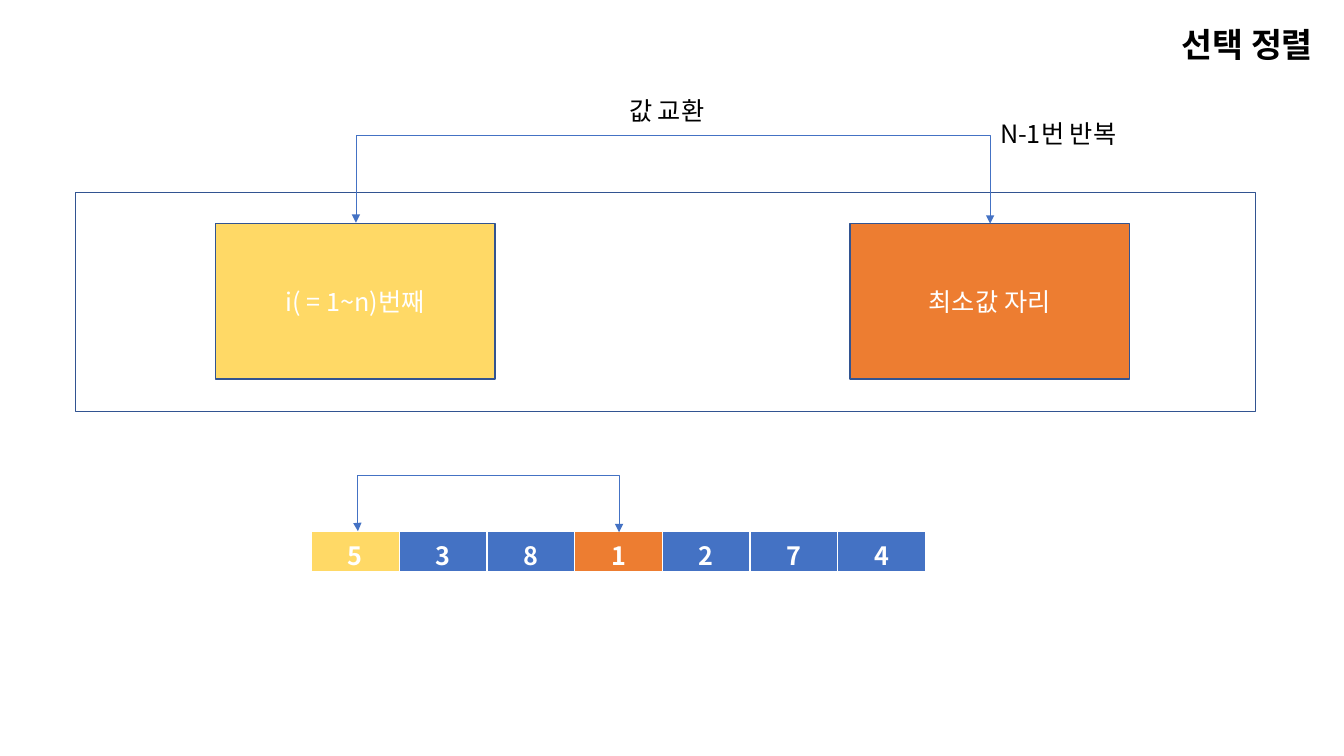
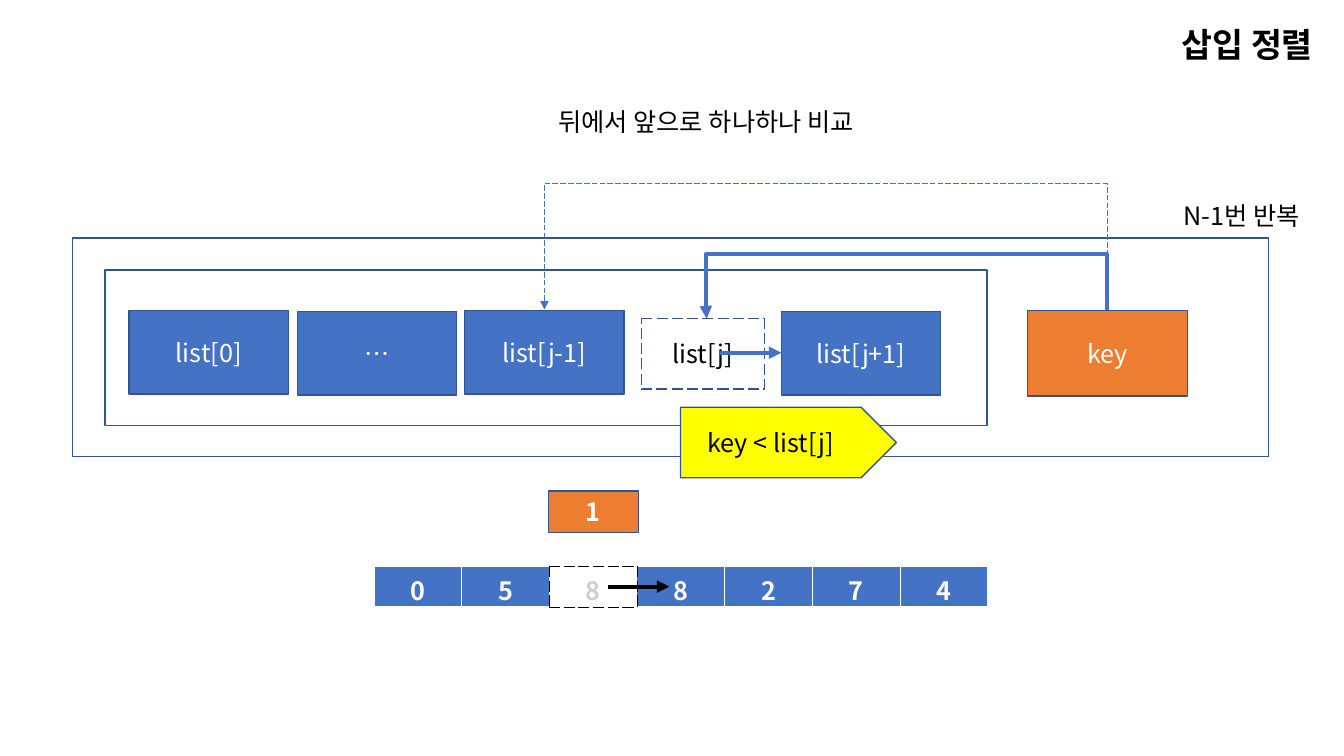
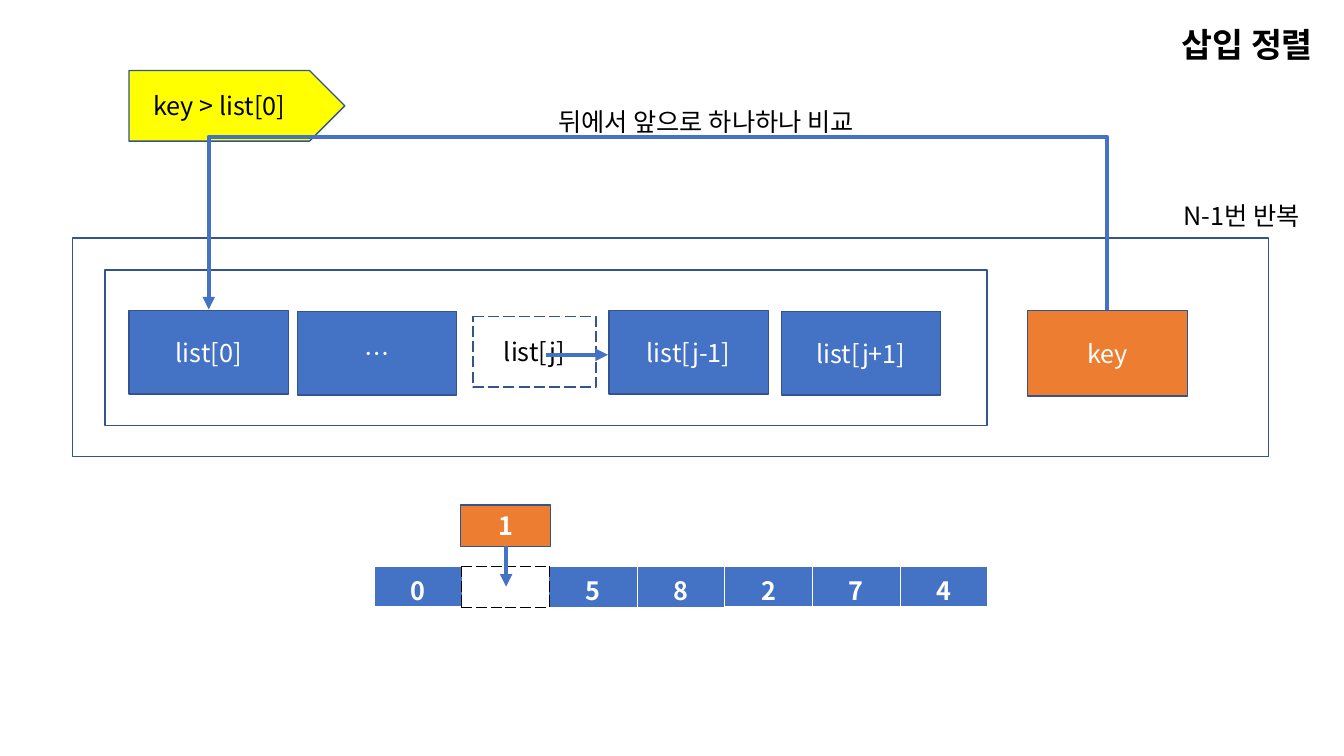
from lxml import etree
from pptx import Presentation
from pptx.dml.color import RGBColor
from pptx.enum.dml import MSO_LINE
from pptx.enum.shapes import MSO_CONNECTOR, MSO_SHAPE
from pptx.enum.text import MSO_ANCHOR, MSO_AUTO_SIZE, PP_ALIGN
from pptx.oxml.ns import qn
from pptx.util import Inches, Pt

PROCESS = MSO_SHAPE.FLOWCHART_PROCESS
ARROW = MSO_SHAPE.RIGHT_ARROW
STRAIGHT = MSO_CONNECTOR.STRAIGHT
ELBOW = MSO_CONNECTOR.ELBOW
LONG_DASH = MSO_LINE.LONG_DASH
LEFT, CENTER, RIGHT = PP_ALIGN.LEFT, PP_ALIGN.CENTER, PP_ALIGN.RIGHT
MIDDLE = MSO_ANCHOR.MIDDLE
FIT_SHAPE = MSO_AUTO_SIZE.SHAPE_TO_FIT_TEXT

FONT = "Noto Sans CJK KR"
WHITE, BLACK, GREY = "FFFFFF", "000000", "D0CECE"
BLUE, OUTLINE = "4472C4", "325491"
GOLD, ORANGE, YELLOW = "FFD966", "ED7D31", "FFFF00"
CELL_WIDTH, CELL_HEIGHT = 0.87, 0.41


def rgb(color):
    return RGBColor.from_string(color)


def add_run(paragraph, text, color, size=18, bold=False, align=CENTER):
    paragraph.alignment = align
    run = paragraph.add_run()
    run.text = text
    run.font.name = FONT
    run.font.size = Pt(size)
    run.font.bold = bold
    run.font.color.rgb = rgb(color)
    # Korean glyphs take the East Asian font
    east_asian = etree.SubElement(run.font._element, qn("a:ea"))
    east_asian.set("typeface", FONT)


def add_label(slide, text, left, top, width, height=0.4, wrap=False, **style):
    box = slide.shapes.add_textbox(Inches(left), Inches(top), Inches(width), Inches(height))
    frame = box.text_frame
    frame.word_wrap = wrap
    frame.auto_size = FIT_SHAPE
    add_run(frame.paragraphs[0], text, BLACK, **style)


def add_box(slide, left, top, width, height, text="", fill=None, color=WHITE,
            bold=False, kind=PROCESS, point=None, dash=None):
    shape = slide.shapes.add_shape(kind, Inches(left), Inches(top), Inches(width), Inches(height))
    shape.shadow.inherit = False
    if point is not None:
        shape.adjustments[0] = 1
        shape.adjustments[1] = point
    if fill:
        shape.fill.solid()
        shape.fill.fore_color.rgb = rgb(fill)
    else:
        shape.fill.background()
    shape.line.color.rgb = rgb(OUTLINE)
    shape.line.width = Pt(1)
    if dash:
        shape.line.dash_style = dash
    if text:
        shape.text_frame.word_wrap = True
        shape.text_frame.vertical_anchor = MIDDLE
        add_run(shape.text_frame.paragraphs[0], text, color, bold=bold)
    return shape


def style_arrow(connector, color, width, dash=None, both_ends=False):
    connector.line.color.rgb = rgb(color)
    connector.line.width = Pt(width)
    if dash:
        connector.line.dash_style = dash
    properties = connector._element.spPr
    line = properties.find(qn("a:ln"))
    for end in ("a:headEnd", "a:tailEnd") if both_ends else ("a:tailEnd",):
        etree.SubElement(line, qn(end)).set("type", "triangle")
    etree.SubElement(properties, qn("a:effectLst"))


def add_arrow(slide, start, end, color=BLUE):
    points = [Inches(value) for value in (*start, *end)]
    style_arrow(slide.shapes.add_connector(STRAIGHT, *points), color, 3)


def add_loop_arrow(slide, start, end, top, width, start_shape=None, end_shape=None, **style):
    """Arrow that rises from start (right), runs left at top and drops to end."""
    rise = start[1] - end[1] or 0.01
    span = start[0] - end[0]
    middle_x = (start[0] + end[0]) / 2
    middle_y = start[1] - rise / 2
    connector = slide.shapes.add_connector(ELBOW, 0, 0, 0, 0)
    if start_shape:
        connector.begin_connect(start_shape, 0)
    if end_shape:
        connector.end_connect(end_shape, 0)
    # The upright loop is a sideways elbow turned by 270 degrees
    connector.begin_x = Inches(middle_x - rise / 2)
    connector.begin_y = Inches(middle_y + span / 2)
    connector.end_x = Inches(middle_x + rise / 2)
    connector.end_y = Inches(middle_y - span / 2)
    properties = connector._element.spPr
    properties.find(qn("a:xfrm")).set("rot", "16200000")
    geometry = properties.find(qn("a:prstGeom"))
    adjustments = [(start[1] - top) / rise]
    if not end_shape:
        geometry.set("prst", "bentConnector4")
        adjustments.append(1.002)
    guides = geometry.find(qn("a:avLst"))
    for number, value in enumerate(adjustments, 1):
        guide = etree.SubElement(guides, qn("a:gd"))
        guide.set("name", f"adj{number}")
        guide.set("fmla", f"val {round(value * 100000)}")
    style_arrow(connector, BLUE, width, **style)


def set_border(cell, side, color, width, dash="solid"):
    line = etree.SubElement(cell._tc.get_or_add_tcPr(), qn(f"a:ln{side}"))
    line.set("w", str(Pt(width)))
    fill = etree.SubElement(line, qn("a:solidFill"))
    etree.SubElement(fill, qn("a:srgbClr")).set("val", color)
    etree.SubElement(line, qn("a:prstDash")).set("val", dash)


def add_array(slide, left, top, values, fills=None, gap=None, thin_bottoms=()):
    """One-row table; the gap cell is empty with a dashed border."""
    fills = fills or {}
    frame = slide.shapes.add_table(1, len(values), Inches(left), Inches(top),
                                   Inches(CELL_WIDTH * len(values)), Inches(CELL_HEIGHT))
    table = frame.table
    table.first_row = table.horz_banding = False
    for index, value in enumerate(values):
        table.columns[index].width = Inches(CELL_WIDTH)
        cell = table.cell(0, index)
        is_gap = index == gap
        dashed = ""
        if gap is not None:
            dashed = {gap - 1: "R", gap: "LRTB", gap + 1: "L"}.get(index, "")
        for side in "LRTB":
            if side in dashed:
                set_border(cell, side, BLACK, 1, "dash")
            else:
                thick = side == "B" and index not in thin_bottoms
                set_border(cell, side, WHITE, 3 if thick else 1)
        if is_gap:
            cell.fill.background()
        else:
            cell.fill.solid()
            cell.fill.fore_color.rgb = rgb(fills.get(index, BLUE))
        if value:
            add_run(cell.text_frame.paragraphs[0], value, GREY if is_gap else WHITE, bold=True)


def new_slide(presentation, title):
    slide = presentation.slides.add_slide(presentation.slide_layouts[6])
    add_label(slide, title, 9.98, 0.19, 3.14, 0.5, wrap=True, size=24, bold=True, align=RIGHT)
    return slide


def selection_slide(presentation):
    slide = new_slide(presentation, "선택 정렬")
    # Array with the swapped pair
    add_array(slide, 3.09, 5.27, "5381274", fills={0: GOLD, 3: ORANGE})
    add_loop_arrow(slide, (6.14, 5.28), (3.55, 5.27), 4.71, 0.5, both_ends=True)
    # Swap diagram
    add_box(slide, 0.75, 1.91, 11.7, 2.17)
    current = add_box(slide, 2.14, 2.22, 2.77, 1.54, "i( = 1~n)번째", GOLD)
    minimum = add_box(slide, 8.43, 2.22, 2.77, 1.54, "최소값 자리", ORANGE)
    add_loop_arrow(slide, (9.82, 2.22), (3.53, 2.22), 1.33, 0.5, minimum, current, both_ends=True)
    add_label(slide, "값 교환", 6.14, 0.9, 1.05, align=LEFT)
    add_label(slide, "N-1번 반복", 9.82, 1.12, 1.48, align=LEFT)


def insertion_slide(presentation, previous_left, target, condition, condition_at, key_at):
    """Parts common to both insertion steps; returns slide, key, first and previous boxes."""
    slide = new_slide(presentation, "삽입 정렬")
    # Loop frames and captions
    add_box(slide, 1.04, 2.68, 8.75, 1.54)
    add_box(slide, 0.72, 2.36, 11.86, 2.17)
    add_label(slide, "뒤에서 앞으로 하나하나 비교", 5.44, 1.01, 3.5, align=LEFT)
    add_label(slide, "N-1번 반복", 11.64, 1.94, 1.48, align=LEFT)
    # List items and key
    key = add_box(slide, 10.19, 3.08, 1.59, 0.85, "key", ORANGE)
    first, _, previous, _ = [
        add_box(slide, left, top, 1.58, 0.83, text, BLUE)
        for text, left, top in (("list[0]", 1.28, 3.08), ("…", 2.95, 3.09),
                                ("list[j-1]", previous_left, 3.08), ("list[j+1]", 7.75, 3.09))]
    add_box(slide, *target, 1.22, 0.7, "list[j]", WHITE, BLACK,
            kind=ARROW, point=0, dash=LONG_DASH)
    # Condition tag and key value
    add_box(slide, *condition_at, 2.14, 0.7, condition, YELLOW, BLACK, kind=ARROW, point=0.5)
    add_box(slide, *key_at, 0.89, 0.41, "1", ORANGE, bold=True)
    return slide, key, first, previous


def shift_slide(presentation):
    slide, key, _, previous = insertion_slide(
        presentation, 4.61, (6.36, 3.16), "key < list[j]", (6.75, 4.04), (5.44, 4.87))
    add_array(slide, 3.71, 5.62, "0588274", gap=2)
    add_loop_arrow(slide, (10.98, 3.08), (5.4, 3.08), 1.8, 0.5, key, previous, dash=LONG_DASH)
    add_loop_arrow(slide, (10.98, 3.08), (7.01, 3.16), 2.52, 3, key)
    add_arrow(slide, (7.14, 3.5), (7.75, 3.5))
    add_arrow(slide, (6.03, 5.82), (6.64, 5.82), BLACK)


def insert_slide(presentation):
    slide, key, first, _ = insertion_slide(
        presentation, 6.04, (4.69, 3.14), "key > list[0]", (1.28, 0.7), (4.57, 5.01))
    add_array(slide, 3.71, 5.62, ["0", "", "5", "8", "2", "7", "4"], gap=1, thin_bottoms=(2, 3))
    add_loop_arrow(slide, (10.98, 3.08), (2.07, 3.08), 1.33, 3, key, first)
    add_arrow(slide, (5.42, 3.52), (6.03, 3.52))
    add_arrow(slide, (5.02, 5.42), (5.02, 5.82))


def main():
    presentation = Presentation()
    presentation.slide_width = Inches(13.33)
    presentation.slide_height = Inches(7.5)
    selection_slide(presentation)
    shift_slide(presentation)
    insert_slide(presentation)
    presentation.save("out.pptx")


if __name__ == "__main__":
    main()
